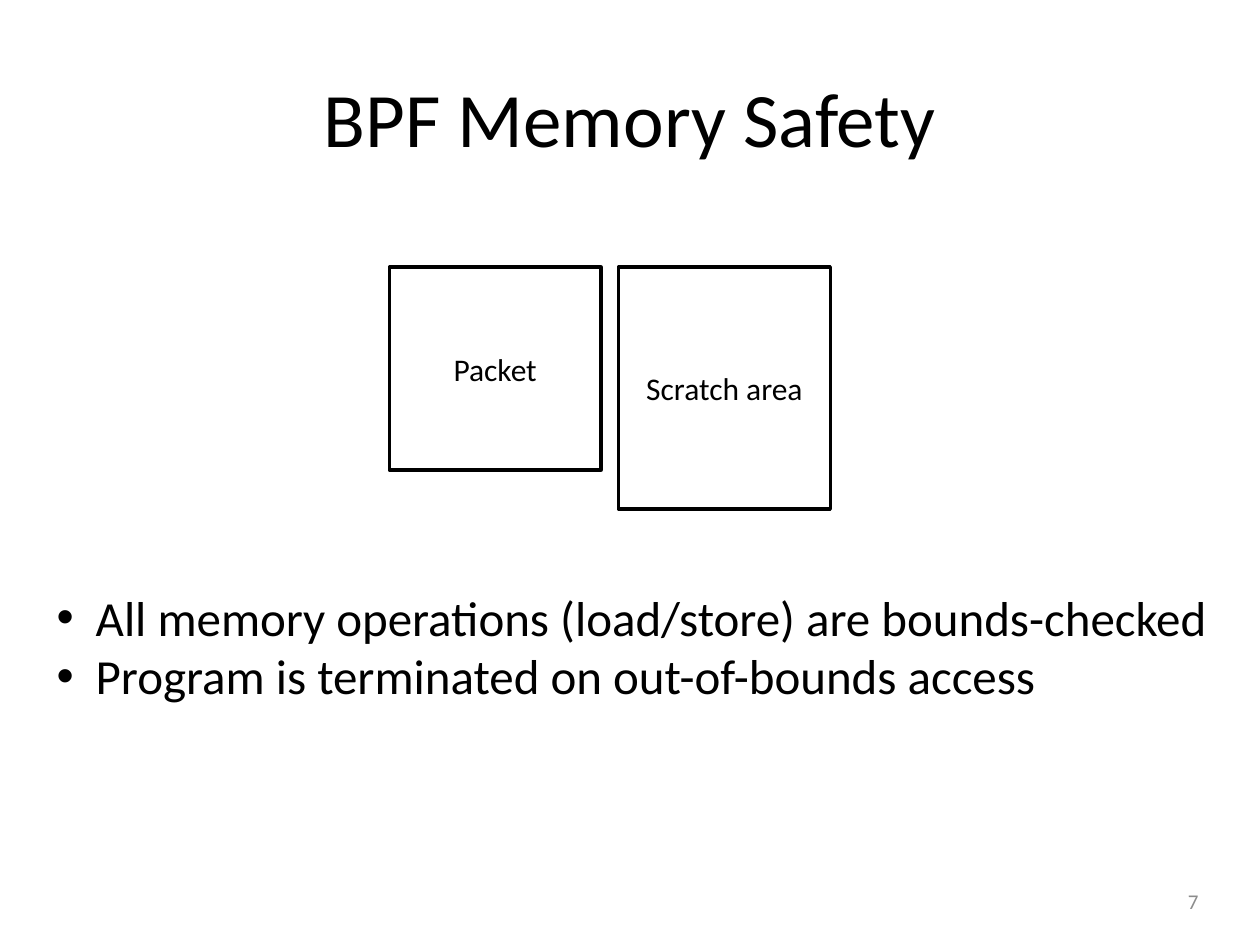
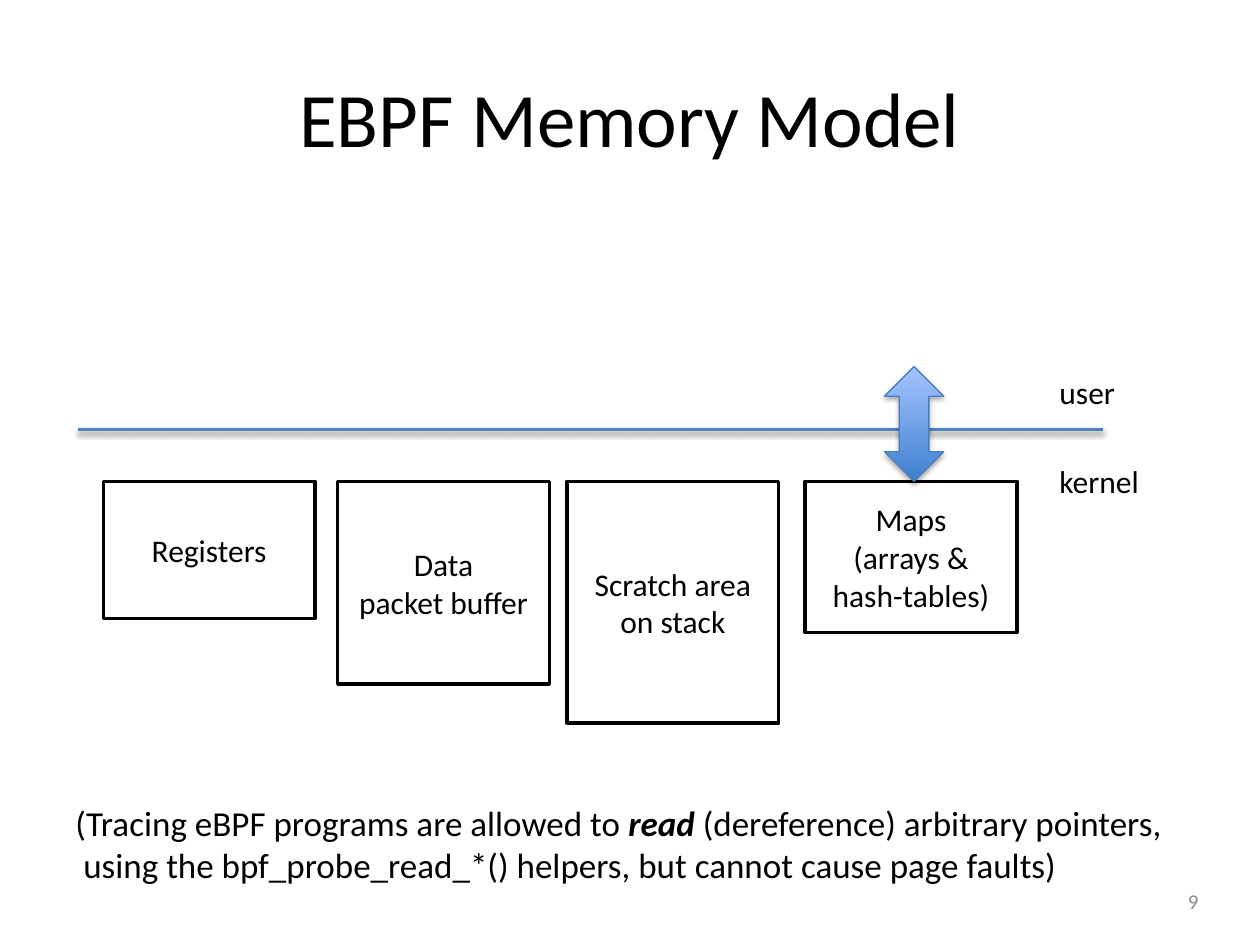
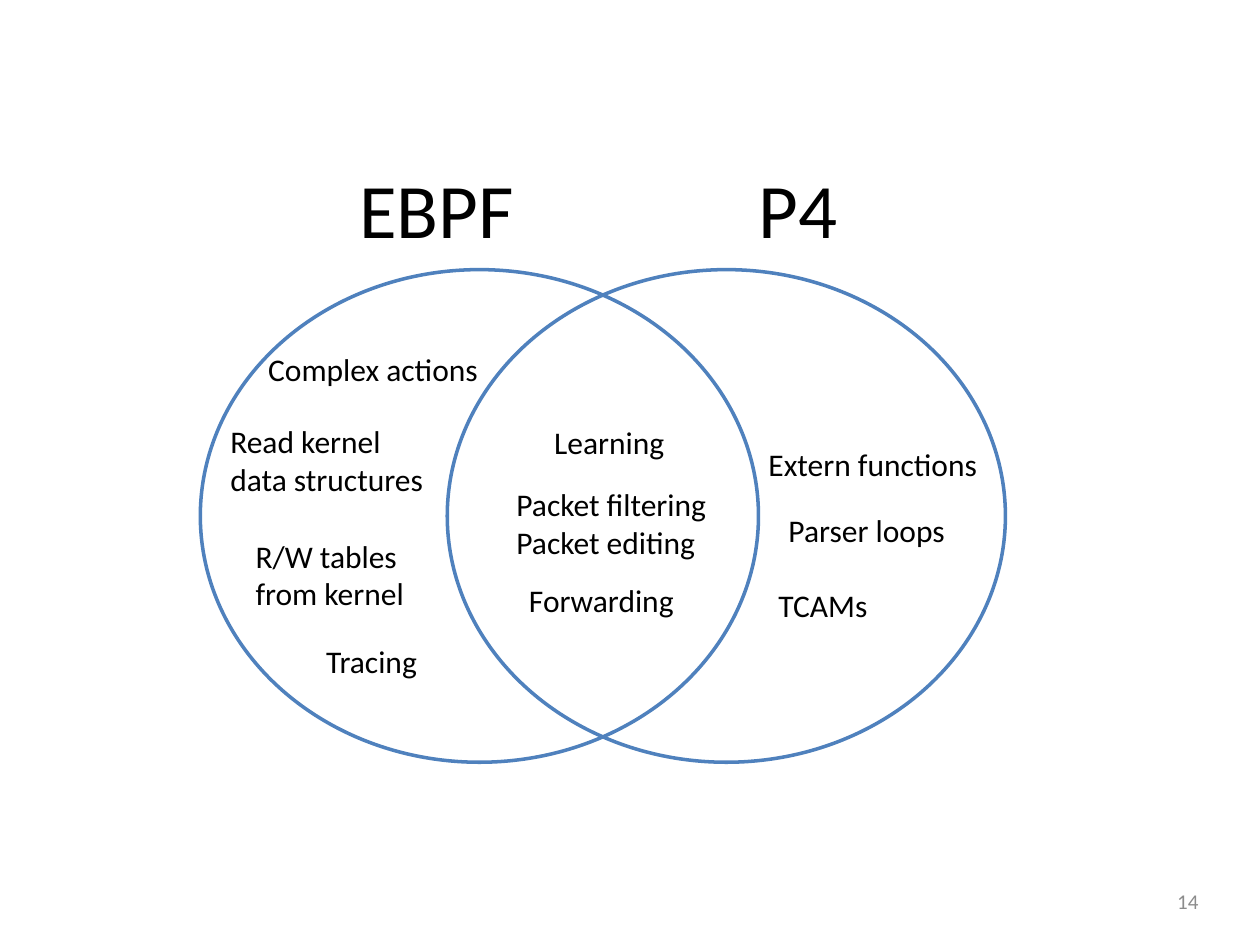
from dataclasses import dataclass
from typing import Optional, Sequence, Union

from lxml.etree import SubElement
from pptx import Presentation
from pptx.dml.color import RGBColor
from pptx.enum.shapes import MSO_CONNECTOR as Connector, MSO_SHAPE as Preset
from pptx.enum.text import MSO_ANCHOR as Anchor, MSO_AUTO_SIZE as AutoSize, PP_ALIGN as Align
from pptx.oxml.ns import qn
from pptx.util import Inches, Pt


# Theme
@dataclass(frozen=True)
class Theme:
    font: str = "Calibri"
    ink: str = "000000"
    paper: str = "FFFFFF"
    muted: str = "8C8C8C"
    blue: str = "4F81BD"
    arrow_edge: str = "4B7EBC"
    arrow_dark: str = "3F80CE"
    arrow_light: str = "A4C4FF"
    title: int = 44
    bullet: int = 28
    remark: int = 20
    label: int = 18
    number: int = 12
    outline: float = 2


THEME = Theme()
TITLE_AND_CONTENT, TITLE_ONLY = 1, 5
BOX_WIDTH = 1.68
LINE_HEIGHT = 0.31


# Repeated elements
@dataclass(frozen=True)
class Area:
    left: float
    top: float
    width: float
    height: float

    def lengths(self) -> tuple:
        return tuple(Inches(v) for v in (self.left, self.top, self.width, self.height))


@dataclass(frozen=True)
class Span:
    text: str
    strong: Optional[bool] = None


Line = Union[str, Sequence[Span]]


@dataclass(frozen=True)
class MemoryBox:
    left: float
    height: float
    lines: Sequence[Line]


@dataclass(frozen=True)
class Label:
    left: float
    top: float
    width: float
    lines: Sequence[Line]

    def area(self) -> Area:
        return Area(self.left, self.top, self.width, 0.4 + LINE_HEIGHT * (len(self.lines) - 1))


TITLE_AREA = Area(0.5, 0.3, 9, 1.25)
NUMBER_AREA = Area(8.57, 6.95, 1.04, 0.4)


# Drawing functions
def rgb(value: str) -> RGBColor:
    return RGBColor.from_string(value)


def write(frame, lines: Sequence[Line], size: int, color: str = THEME.ink,
          align: Align = Align.LEFT) -> None:
    """Write one paragraph per line; a newline inside a span is a line break."""
    for index, line in enumerate(lines):
        paragraph = frame.add_paragraph() if index else frame.paragraphs[0]
        paragraph.alignment = align
        for span in (Span(line),) if isinstance(line, str) else line:
            for part, text in enumerate(span.text.split("\n")):
                if part:
                    paragraph.add_line_break()
                run = paragraph.add_run()
                run.text = text
                font = run.font
                font.name, font.size = THEME.font, Pt(size)
                font.bold = font.italic = span.strong
                font.color.rgb = rgb(color)


def place(shape, area: Area) -> None:
    shape.left, shape.top, shape.width, shape.height = area.lengths()


def add_page(deck, layout: int, title: str, number: int, area: Area = TITLE_AREA,
             align: Align = Align.CENTER):
    slide = deck.slides.add_slide(deck.slide_layouts[layout])
    heading = slide.shapes.title
    place(heading, area)
    heading.text_frame.vertical_anchor = Anchor.MIDDLE
    write(heading.text_frame, [title], THEME.title, align=align)

    page = slide.shapes.add_textbox(*NUMBER_AREA.lengths()).text_frame
    page.word_wrap = True
    page.vertical_anchor = Anchor.MIDDLE
    write(page, [str(number)], THEME.number, THEME.muted, Align.RIGHT)
    return slide


def add_outlined(slide, preset: Preset, area: Area, edge: str, fill: Optional[str] = None):
    shape = slide.shapes.add_shape(preset, *area.lengths())
    shape.shadow.inherit = False
    shape.line.color.rgb = rgb(edge)
    shape.line.width = Pt(THEME.outline)
    if fill:
        shape.fill.solid()
        shape.fill.fore_color.rgb = rgb(fill)
    else:
        shape.fill.background()
    return shape


def add_memory_boxes(slide, top: float, boxes: Sequence[MemoryBox]) -> None:
    for box in boxes:
        area = Area(box.left, top, BOX_WIDTH, box.height)
        frame = add_outlined(slide, Preset.RECTANGLE, area, THEME.ink, THEME.paper).text_frame
        frame.vertical_anchor = Anchor.MIDDLE
        write(frame, box.lines, THEME.label, align=Align.CENTER)


def add_text(slide, area: Area, lines: Sequence[Line], size: int) -> None:
    frame = slide.shapes.add_textbox(*area.lengths()).text_frame
    frame.word_wrap = False
    frame.auto_size = AutoSize.SHAPE_TO_FIT_TEXT
    write(frame, lines, size)


def add_labels(slide, labels: Sequence[Label]) -> None:
    for label in labels:
        add_text(slide, label.area(), label.lines, THEME.label)


def drop_shadow(properties, opacity: int, blur: float, distance: float) -> None:
    """Cast a black shadow straight down."""
    effects = properties.find(qn("a:effectLst"))
    if effects is None:
        effects = SubElement(properties, qn("a:effectLst"))
    shadow = SubElement(effects, qn("a:outerShdw"), blurRad=str(Pt(blur)), dist=str(Pt(distance)),
                        dir=str(90 * 60000), rotWithShape="0")
    color = SubElement(shadow, qn("a:srgbClr"), val=THEME.ink)
    SubElement(color, qn("a:alpha"), val=str(opacity * 1000))


# Slides
def add_memory_safety(deck) -> None:
    slide = add_page(deck, TITLE_AND_CONTENT, "BPF Memory Safety", 7)
    add_memory_boxes(slide, 2.12, [
        MemoryBox(3.09, 1.61, ["Packet"]),
        MemoryBox(4.91, 1.92, ["Scratch area"]),
    ])
    rules = slide.placeholders[1]
    place(rules, Area(0.35, 4.61, 9.44, 1.04))
    rules.text_frame.word_wrap = False
    rules.text_frame.auto_size = AutoSize.NONE
    write(rules.text_frame, [
        "All memory operations (load/store) are bounds-checked",
        "Program is terminated on out-of-bounds access",
    ], THEME.bullet)
    for rule in rules.text_frame.paragraphs:
        rule.space_before = Pt(0)
        indent = Inches(0.31)
        properties = rule._p.get_or_add_pPr()
        properties.set("marL", str(indent))
        properties.set("indent", str(-indent))


def add_memory_model(deck) -> None:
    slide = add_page(deck, TITLE_ONLY, "EBPF Memory Model", 9)
    add_memory_boxes(slide, 3.82, [
        MemoryBox(0.82, 1.09, ["Registers"]),
        MemoryBox(2.68, 1.61, ["Data", "packet buffer"]),
        MemoryBox(4.5, 1.92, ["Scratch area", "on stack"]),
        MemoryBox(6.39, 1.2, ["Maps", "(arrays &\nhash-tables)"]),
    ])

    # Border between user and kernel space
    border = slide.shapes.add_connector(
        Connector.STRAIGHT, Inches(0.62), Inches(3.41), Inches(8.75), Inches(3.41))
    border.line.color.rgb = rgb(THEME.blue)
    border.line.width = Pt(THEME.outline)
    drop_shadow(border._element.spPr, 38, 3.1, 1.6)
    add_labels(slide, [
        Label(8.31, 2.91, 0.65, ["user"]),
        Label(8.31, 3.62, 0.85, ["kernel"]),
    ])

    # Exchange through the maps
    exchange = add_outlined(slide, Preset.UP_DOWN_ARROW, Area(7.02, 2.91, 0.47, 0.91),
                            THEME.arrow_edge)
    exchange.line.width = Pt(0.75)
    exchange.fill.gradient()
    exchange.fill.gradient_angle = 90
    for stop, color in zip(exchange.fill.gradient_stops, (THEME.arrow_dark, THEME.arrow_light)):
        stop.color.rgb = rgb(color)
    drop_shadow(exchange._element.spPr, 35, 3.1, 1.8)

    add_text(slide, Area(0.5, 6.31, 8.91, 0.77), [
        (Span("(Tracing eBPF programs are allowed to "), Span("read", True),
         Span(" (dereference) arbitrary pointers,")),
        " using the bpf_probe_read_*() helpers, but cannot cause page faults)",
    ], THEME.remark)


def add_comparison(deck) -> None:
    slide = add_page(deck, TITLE_ONLY, "EBPF\tP4", 14, Area(0.3, 1.02, 9, 1.25), Align.LEFT)

    # The two names stand over their circles
    names = slide.shapes.title.text_frame
    names.margin_left = Inches(2.55)
    stops = SubElement(names.paragraphs[0]._p.get_or_add_pPr(), qn("a:tabLst"))
    SubElement(stops, qn("a:tab"), pos=str(Inches(3.17)), algn="l")

    for left in (3.55, 1.59):
        add_outlined(slide, Preset.OVAL, Area(left, 2.14, 4.43, 3.91), THEME.blue)
    add_labels(slide, [
        # EBPF only
        Label(2.03, 2.73, 1.89, ["Complex actions"]),
        Label(1.73, 3.3, 1.77, ["Read kernel", "data structures"]),
        Label(1.93, 4.21, 1.4, ["R/W tables", "from kernel"]),
        Label(2.49, 5.05, 0.95, ["Tracing"]),
        # Both
        Label(4.3, 3.31, 1.08, ["Learning"]),
        Label(4, 3.8, 1.73, ["Packet filtering", "Packet editing"]),
        Label(4.1, 4.56, 1.36, ["Forwarding"]),
        # P4 only
        Label(6, 3.48, 1.88, ["Extern functions"]),
        Label(6.16, 4.01, 1.47, ["Parser loops"]),
        Label(6.08, 4.6, 0.91, ["TCAMs"]),
    ])


def main() -> None:
    deck = Presentation()
    deck.slide_width, deck.slide_height = Inches(10), Inches(7.5)
    add_memory_safety(deck)
    add_memory_model(deck)
    add_comparison(deck)
    deck.save("out.pptx")


if __name__ == "__main__":
    main()
